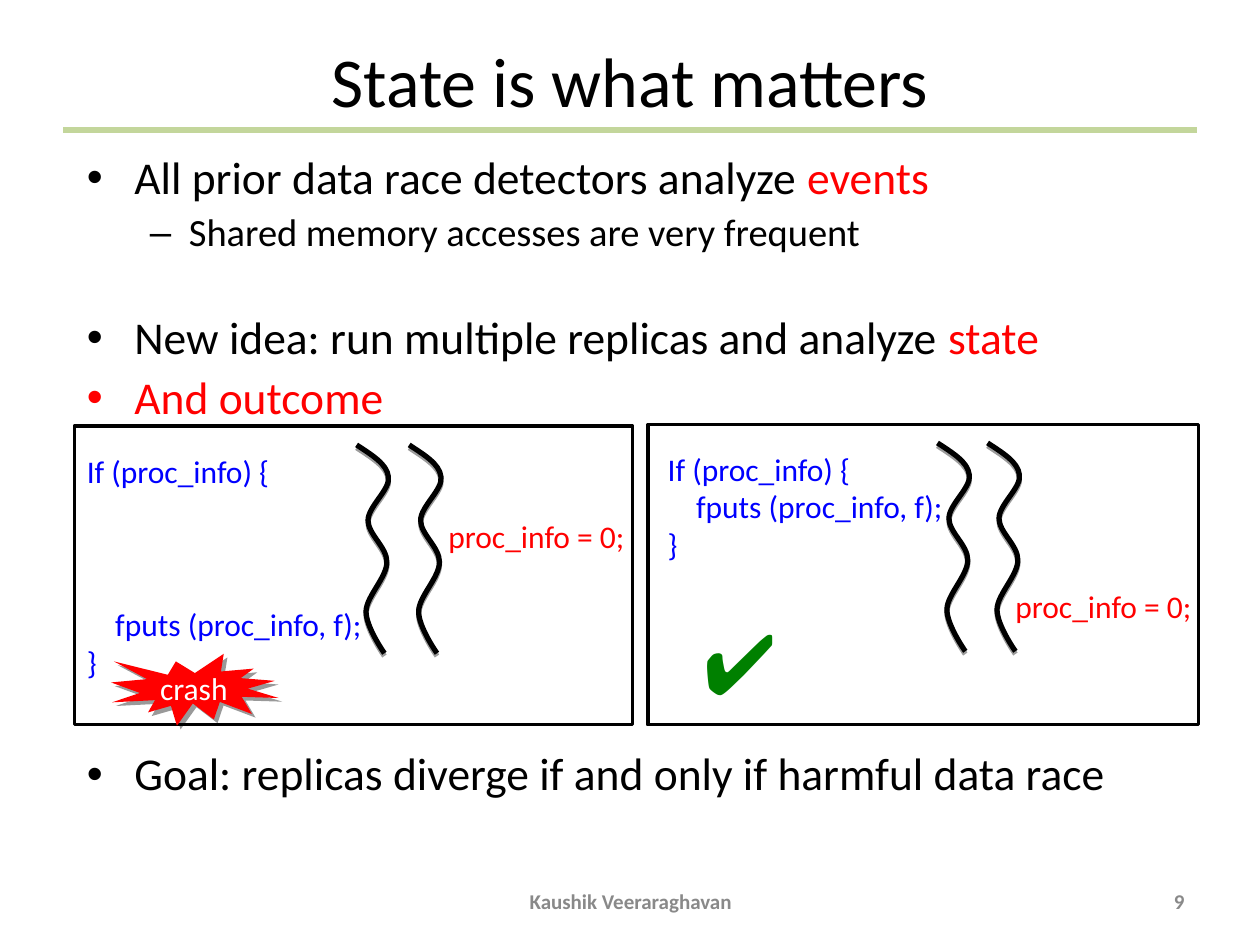
import pptx
import pptx.util
import pptx.dml.color
import pptx.enum.shapes
import pptx.enum.text
import pptx.oxml
import pptx.oxml.ns
from lxml import etree

Cm, Pt = pptx.util.Cm, pptx.util.Pt
SHAPE = pptx.enum.shapes.MSO_SHAPE
ALIGN = pptx.enum.text.PP_ALIGN
MIDDLE = pptx.enum.text.MSO_ANCHOR.MIDDLE
qn = pptx.oxml.ns.qn

BLACK, RED, BLUE, GREEN = "000000", "FF0000", "0000FF", "008000"
WHITE, GREY, RULE = "FFFFFF", "898989", "C3D69B"

TITLE = "State is what matters"
# level, space before (pt), runs of (text, colour)
POINTS = [
    (0, 0, [("All prior data race detectors analyze", BLACK), (" events", RED)]),
    (1, 5.5, [("Shared memory accesses are very frequent", BLACK)]),
    (0, 34, [("New idea: run multiple replicas and analyze ", BLACK), ("state", RED)]),
    (0, 6.5, [("And outcome", RED)]),
    (0, 187, [("Goal: replicas diverge if and only if harmful data race", BLACK)]),
]
# size (pt), left margin (cm), hanging indent (cm), bullet
LEVELS = [(26, 0.96, 0.96, "•"), (22, 2.06, 0.79, "–")]

# left, top, width, alignment, text
FOOTERS = [(8.69, 17.65, 8.05, ALIGN.CENTER, "Kaushik Veeraraghavan"),
           (18.21, 17.65, 5.92, ALIGN.RIGHT, "9")]

CODE = ["If (proc_info) {", "    fputs (proc_info, f);", "}"]
RACE = "proc_info = 0;"
CODE_LINE = 18 * 1.22
# boxes in cm; "wait" is the number of code lines before the call to fputs
REPLICAS = [
    dict(frame=(1.5, 8.59, 11.25, 6.02), race=(8.79, 10.29), code=(1.5, 8.99),
         waves=(7.19, 8.25), wave_top=8.97, wait=3, outcome="crash"),
    dict(frame=(13.06, 8.56, 11.1, 6.05), race=(20.22, 11.71), code=(13.21, 8.94),
         waves=(18.9, 19.91), wave_top=8.93, wait=0, outcome="✔"),
]
# two control points and an end point per bend, in hundredths of a cm
WAVE = [((30, 20), (61, 38), (64, 64)),
        ((69, 89), (23, 124), (23, 152)),
        ((23, 180), (61, 206), (61, 236)),
        ((61, 267), (20, 305), (19, 335)),
        ((18, 366), (56, 420), (56, 420))]


def rgb(colour):
    return pptx.dml.color.RGBColor.from_string(colour)


def style(runs, size, colour, font="Calibri", bold=False):
    for run in runs:
        run.font.size, run.font.name, run.font.bold = Pt(size), font, bold
        run.font.color.rgb = rgb(colour)


def add_label(shapes, box, lines, size, colour, font="Calibri", wrap=False):
    label = shapes.add_textbox(*map(Cm, box))
    frame = label.text_frame
    frame.word_wrap = wrap
    frame.text = "\n".join(lines)
    for paragraph in frame.paragraphs:
        style(paragraph.runs, size, colour, font)
    return frame


def add_bullet(paragraph, symbol, colour, margin, hanging):
    properties = paragraph._p.get_or_add_pPr()
    properties.set("marL", str(Cm(margin)))
    properties.set("indent", str(-Cm(hanging)))
    bullet_colour = etree.SubElement(properties, qn("a:buClr"))
    etree.SubElement(bullet_colour, qn("a:srgbClr"), val=colour)
    etree.SubElement(properties, qn("a:buFont"), typeface="Arial")
    etree.SubElement(properties, qn("a:buChar"), char=symbol)


def add_shadow(shape, opacity, distance, angle):
    shape.shadow.inherit = False
    effects = shape._element.spPr.find(qn("a:effectLst"))
    shadow = etree.SubElement(effects, qn("a:outerShdw"), blurRad="0",
                              dist=str(Pt(distance)), dir=str(angle * 60000),
                              rotWithShape="0")
    tint = etree.SubElement(shadow, qn("a:srgbClr"), val=BLACK)
    etree.SubElement(tint, qn("a:alpha"), val=str(opacity * 1000))


def add_wave(shapes, left, top):
    """Draw a thread as a wavy line, with each segment turned into a curve."""
    builder = shapes.build_freeform(0, 0, scale=Cm(0.01))
    builder.add_line_segments([bend[-1] for bend in WAVE], close=False)
    wave = builder.convert_to_shape(Cm(left), Cm(top))
    for segment, bend in zip(list(wave._element.iter(qn("a:lnTo"))), WAVE):
        curve = etree.Element(qn("a:cubicBezTo"))
        for x, y in bend:
            etree.SubElement(curve, qn("a:pt"), x=str(x), y=str(y))
        segment.getparent().replace(segment, curve)
    wave.fill.background()
    wave.line.color.rgb = rgb(BLACK)
    wave.line.width = Pt(3)
    add_shadow(wave, 38, 1.6, 90)


def add_crash(shapes, word):
    crash = shapes.add_shape(SHAPE.EXPLOSION1, Cm(2.24), Cm(13.18), Cm(3.38), Cm(1.45))
    crash.fill.solid()
    crash.fill.fore_color.rgb = rgb(RED)
    crash.line.fill.background()
    add_shadow(crash, 40, 3, 45)
    frame = crash.text_frame
    frame.word_wrap = False
    frame.vertical_anchor = MIDDLE
    frame.text = word
    frame.paragraphs[0].alignment = ALIGN.CENTER
    style(frame.paragraphs[0].runs, 18, WHITE)


def add_replica(slide, replica):
    shapes = slide.shapes.add_group_shape().shapes
    border = shapes.add_shape(SHAPE.RECTANGLE, *map(Cm, replica["frame"]))
    border.shadow.inherit = False
    border.fill.background()
    border.line.color.rgb = rgb(BLACK)
    border.line.width = Pt(2)

    add_label(shapes, (*replica["race"], 4.09, 1.02), [RACE], 18, RED)
    if replica["outcome"] == "crash":
        add_crash(shapes, replica["outcome"])
    else:
        add_label(shapes, (13.94, 12.19, 1.98, 2.29), [replica["outcome"]], 48, GREEN, "Arial")
    for left in replica["waves"]:
        add_wave(shapes, left, replica["wave_top"])
    height = 2.54 + 0.76 * replica["wait"]
    code = add_label(shapes, (*replica["code"], 6.07, height), CODE, 18, BLUE)
    code.paragraphs[1].space_before = Pt(round(CODE_LINE * replica["wait"], 1))


def add_points(slide):
    frame = slide.shapes.add_textbox(Cm(1.5), Cm(3), Cm(23.44), Cm(14.02)).text_frame
    frame.word_wrap = True
    for index, (level, gap, runs) in enumerate(POINTS):
        size, margin, hanging, symbol = LEVELS[level]
        point = frame.add_paragraph() if index else frame.paragraphs[0]
        point.level = level
        point.line_spacing = 0.9
        point.space_before = Pt(gap)
        add_bullet(point, symbol, runs[0][1], margin, hanging)
        for text, colour in runs:
            run = point.add_run()
            run.text = text
            style([run], size, colour)


def main():
    deck = pptx.Presentation()
    deck.slide_width, deck.slide_height = Cm(25.4), Cm(19.05)
    slide = deck.slides.add_slide(deck.slide_layouts[5])

    title = slide.shapes.title
    title.left, title.top, title.width, title.height = map(Cm, (0, 0.76, 25.4, 1.68))
    title.text_frame.text = TITLE
    title.text_frame.vertical_anchor = MIDDLE
    title.text_frame.paragraphs[0].alignment = ALIGN.CENTER
    style(title.text_frame.paragraphs[0].runs, 40, BLACK)

    rule = slide.shapes.add_connector(pptx.enum.shapes.MSO_CONNECTOR.STRAIGHT,
                                      Cm(1.27), Cm(2.62), Cm(24.13), Cm(2.62))
    rule.line.color.rgb = rgb(RULE)
    rule.line.width = Pt(3.5)
    etree.SubElement(rule._element.spPr, qn("a:effectLst"))

    add_points(slide)
    for left, top, width, alignment, text in FOOTERS:
        footer = add_label(slide.shapes, (left, top, width, 1.02), [text], 12, GREY, wrap=True)
        footer.vertical_anchor = MIDDLE
        footer.paragraphs[0].alignment = alignment
        footer.paragraphs[0].runs[0].font.bold = True
    for replica in REPLICAS:
        add_replica(slide, replica)

    deck.save("out.pptx")


if __name__ == "__main__":
    main()
